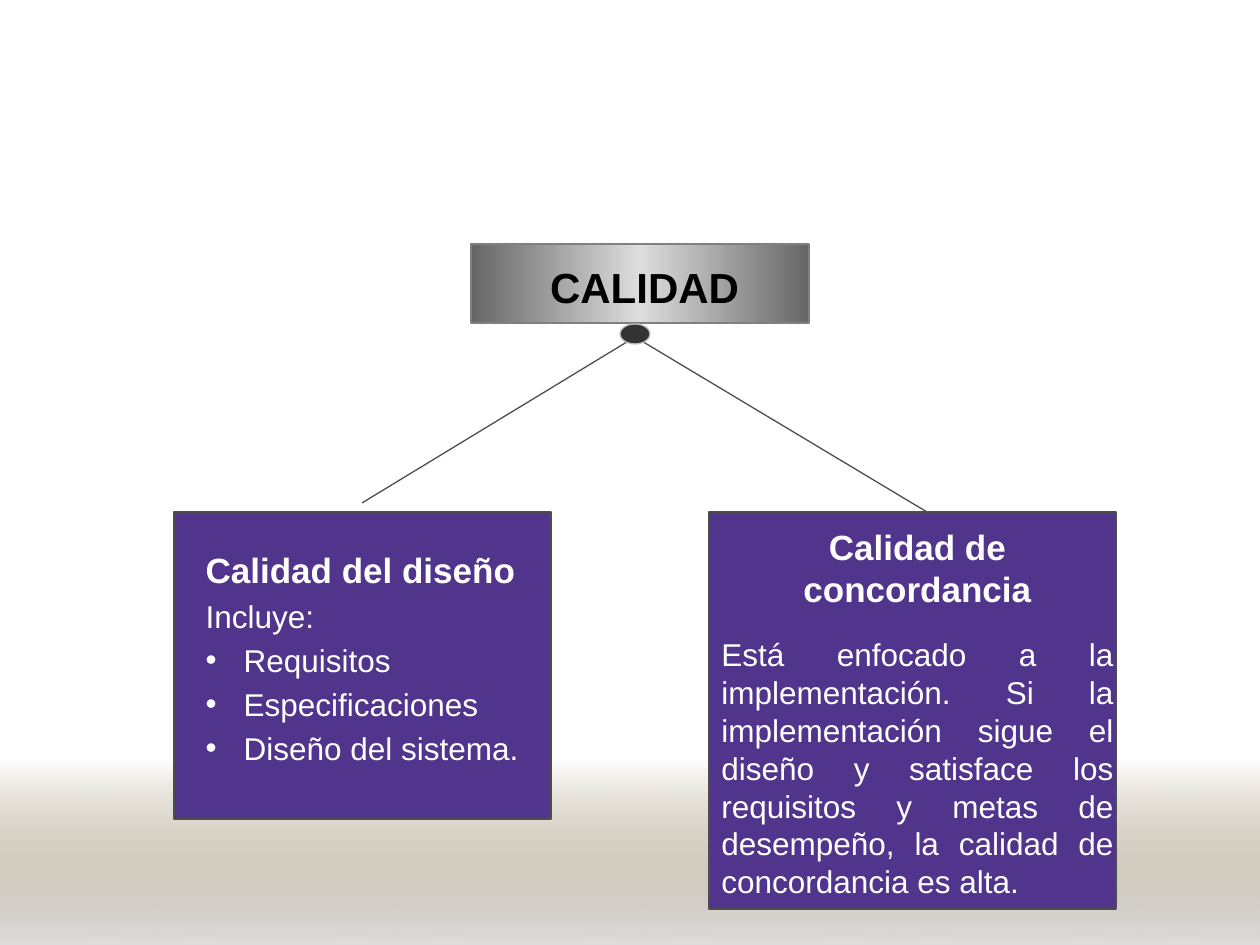
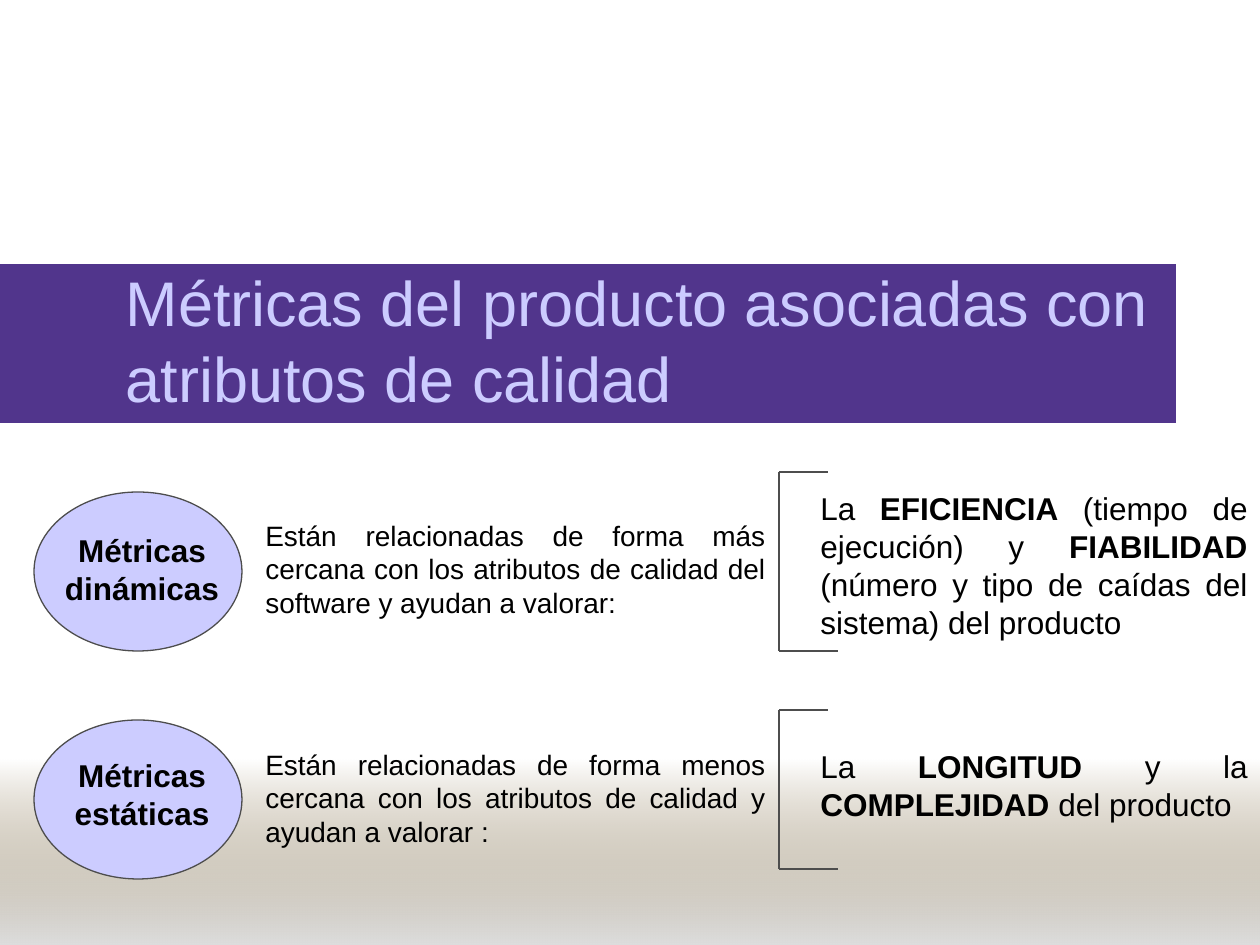
from dataclasses import dataclass
from typing import NamedTuple

from lxml import etree
from pptx import Presentation
from pptx.dml.color import RGBColor
from pptx.enum.shapes import MSO_CONNECTOR, MSO_SHAPE
from pptx.enum.text import MSO_ANCHOR, MSO_AUTO_SIZE, PP_ALIGN
from pptx.oxml.ns import qn
from pptx.util import Pt

EMU_PER_PX = 914400 / 126
RECTANGLE, ELLIPSE = MSO_SHAPE.RECTANGLE, MSO_SHAPE.OVAL
STRAIGHT = MSO_CONNECTOR.STRAIGHT
LEFT, CENTER, JUSTIFY = PP_ALIGN.LEFT, PP_ALIGN.CENTER, PP_ALIGN.JUSTIFY
TOP, MIDDLE = MSO_ANCHOR.TOP, MSO_ANCHOR.MIDDLE
NO_FIT = MSO_AUTO_SIZE.NONE
CONTENT_LAYOUT, TITLE_LAYOUT = 1, 5


@dataclass(frozen=True)
class Theme:
    font: str = "Arial"
    purple: str = "51358C"
    lilac: str = "CCCCFF"
    white: str = "FFFFFF"
    black: str = "000000"
    outline: str = "4D4D4D"
    plate_edge: str = "666666"
    plate_line: str = "808080"
    silver: str = "DDDDDD"
    sand: str = "765E2F"
    node: str = "333333"
    node_line: str = "C0C0C0"
    title_size: int = 36
    root_size: int = 24
    heading_size: int = 20
    body_size: int = 18
    note_size: int = 16
    line_width: float = 0.75


THEME = Theme()


class Area(NamedTuple):
    left: int
    top: int
    width: int
    height: int


class Stop(NamedTuple):
    position: int
    color: str
    opacity: int = 100


class Span(NamedTuple):
    words: str
    bold: bool = False


@dataclass(frozen=True)
class Para:
    spans: tuple[Span, ...]
    size: int = THEME.body_size
    color: str = THEME.black
    align: PP_ALIGN = JUSTIFY
    before: float = 0
    bullet: bool = False


@dataclass(frozen=True)
class Metric:
    top: int
    name: str
    name_top: int
    note: str
    note_top: int
    bracket_top: int
    bracket_bottom: int
    result: tuple[Span, ...]
    result_area: Area


METRICS = (
    Metric(492, "Métricas dinámicas", 525,
           "Están relacionadas de forma más cercana con los atributos de "
           "calidad del software y ayudan a valorar:", 512, 472, 651,
           (Span("La "), Span("EFICIENCIA", True),
            Span(" (tiempo de ejecución) y "), Span("FIABILIDAD", True),
            Span(" (número y tipo de caídas del sistema) del producto")),
           Area(808, 483, 452, 164)),
    Metric(720, "Métricas estáticas", 750,
           "Están relacionadas de forma menos cercana con los atributos de "
           "calidad y ayudan a valorar :", 741, 710, 869,
           (Span("La "), Span("LONGITUD", True), Span(" y la "),
            Span("COMPLEJIDAD", True), Span(" del producto")),
           Area(808, 741, 452, 88)),
)


def px(length: int) -> int:
    return round(length * EMU_PER_PX)


def rgb(color: str) -> RGBColor:
    return RGBColor.from_string(color)


# Shapes and lines
def add_figure(page, kind, area: Area, fill: str = "", line: str = ""):
    figure = page.shapes.add_shape(kind, *map(px, area))
    figure.shadow.inherit = False
    if fill:
        figure.fill.solid()
        figure.fill.fore_color.rgb = rgb(fill)
    if line:
        figure.line.color.rgb = rgb(line)
        figure.line.width = Pt(THEME.line_width)
    else:
        figure.line.fill.background()
    return figure


def set_gradient(figure, stops: tuple[Stop, ...], angle: int) -> None:
    figure.fill.gradient()
    figure.fill.gradient_angle = angle
    stop_list = figure.fill._fill._gradFill.find(qn("a:gsLst"))
    for old in list(stop_list):
        stop_list.remove(old)
    for stop in stops:
        entry = etree.SubElement(stop_list, qn("a:gs"), pos=str(stop.position * 1000))
        color = etree.SubElement(entry, qn("a:srgbClr"), val=stop.color)
        if stop.opacity < 100:
            etree.SubElement(color, qn("a:alpha"), val=str(stop.opacity * 1000))


def add_line(page, start: tuple[int, int], end: tuple[int, int]) -> None:
    line = page.shapes.add_connector(STRAIGHT, *map(px, start + end))
    line.line.color.rgb = rgb(THEME.outline)
    line.line.width = Pt(THEME.line_width)
    etree.SubElement(line._element.spPr, qn("a:effectLst"))


def add_bracket(page, left: int, top: int, bottom: int) -> None:
    add_line(page, (left, top), (left + 49, top))
    add_line(page, (left, top), (left, bottom))
    add_line(page, (left, bottom), (left + 59, bottom))


# Text
def set_bullet(para, bullet: bool) -> None:
    properties = para._p.get_or_add_pPr()
    indent = px(38) if bullet else 0
    properties.set("marL", str(indent))
    properties.set("indent", str(-indent))
    if bullet:
        etree.SubElement(properties, qn("a:buChar"), char="•")
    else:
        etree.SubElement(properties, qn("a:buNone"))


def write(box, paras: tuple[Para, ...], anchor=TOP) -> None:
    frame = box.text_frame
    frame.word_wrap = True
    frame.auto_size = NO_FIT
    frame.vertical_anchor = anchor
    for index, item in enumerate(paras):
        para = frame.add_paragraph() if index else frame.paragraphs[0]
        set_bullet(para, item.bullet)
        para.alignment = item.align
        para.space_before = Pt(item.before)
        for span in item.spans:
            run = para.add_run()
            run.text = span.words
            run.font.name = THEME.font
            run.font.size = Pt(item.size)
            run.font.bold = span.bold
            run.font.color.rgb = rgb(item.color)


def add_text(page, area: Area, *paras: Para) -> None:
    write(page.shapes.add_textbox(*map(px, area)), paras)


def fill_placeholder(page, box, area: Area, *paras: Para, anchor=TOP) -> None:
    """Move a placeholder in front of the shapes drawn so far and write in it."""
    page.shapes._spTree.append(box._element)
    box.left, box.top, box.width, box.height = map(px, area)
    write(box, paras, anchor)


# Shared background band, kept on the slide master
def move_band_to_master(deck, page) -> None:
    band = add_figure(page, RECTANGLE, Area(0, 760, 1260, 185))
    set_gradient(band, (Stop(0, THEME.sand, 0), Stop(100, THEME.silver)), 270)
    deck.slide_master.shapes._spTree.insert(2, band._element)


def build_quality_tree(page) -> None:
    # Root of the tree
    plate = add_figure(page, RECTANGLE, Area(471, 244, 338, 79), line=THEME.plate_line)
    set_gradient(plate, (Stop(0, THEME.plate_edge), Stop(50, THEME.silver),
                         Stop(100, THEME.plate_edge)), 0)
    fill_placeholder(page, page.shapes.title, Area(501, 255, 287, 63),
                     Para((Span("CALIDAD", True),), THEME.root_size, align=CENTER))

    # Branches
    add_line(page, (640, 334), (362, 503))
    add_line(page, (630, 334), (927, 512))
    add_figure(page, ELLIPSE, Area(620, 324, 30, 20), THEME.node, THEME.node_line)
    for area in (Area(174, 512, 377, 307), Area(709, 512, 407, 397)):
        add_figure(page, RECTANGLE, area, THEME.purple, THEME.outline)

    # Design quality
    items = tuple(
        Para((Span(words),), color=THEME.white, align=LEFT, before=3.6, bullet=True)
        for words in ("Requisitos", "Especificaciones", "Diseño del sistema."))
    fill_placeholder(
        page, page.placeholders[1], Area(193, 542, 348, 294),
        Para((Span("Calidad del diseño", True),), THEME.heading_size, THEME.white),
        Para((Span("Incluye:"),), color=THEME.white, before=3.6), *items)

    # Conformance quality
    add_text(
        page, Area(709, 519, 417, 391),
        Para((Span("Calidad de concordancia", True),), THEME.heading_size,
             THEME.white, CENTER),
        Para((Span("Está enfocado a la implementación. Si la implementación sigue "
                   "el diseño y satisface los requisitos y metas de desempeño, la "
                   "calidad de concordancia es alta."),),
             color=THEME.white, before=15))


def add_metric(page, metric: Metric) -> None:
    add_figure(page, ELLIPSE, Area(34, metric.top, 208, 159), THEME.lilac, THEME.outline)
    add_text(page, Area(43, metric.name_top, 198, 88),
             Para((Span(metric.name, True),), align=CENTER))
    add_text(page, Area(253, metric.note_top, 525, 113),
             Para((Span(metric.note),), THEME.note_size))
    add_bracket(page, 779, metric.bracket_top, metric.bracket_bottom)
    add_text(page, metric.result_area, Para(metric.result))


def build_metrics(page) -> None:
    add_figure(page, RECTANGLE, Area(0, 264, 1176, 159), THEME.purple)
    fill_placeholder(
        page, page.shapes.title, Area(113, 304, 1062, 71),
        Para((Span("Métricas del producto asociadas con atributos de calidad"),),
             THEME.title_size, THEME.lilac, LEFT), anchor=MIDDLE)
    for metric in METRICS:
        add_metric(page, metric)


def main() -> None:
    deck = Presentation()
    deck.slide_width, deck.slide_height = px(1260), px(945)
    tree_page = deck.slides.add_slide(deck.slide_layouts[CONTENT_LAYOUT])
    move_band_to_master(deck, tree_page)
    build_quality_tree(tree_page)
    build_metrics(deck.slides.add_slide(deck.slide_layouts[TITLE_LAYOUT]))
    deck.save("out.pptx")


if __name__ == "__main__":
    main()
